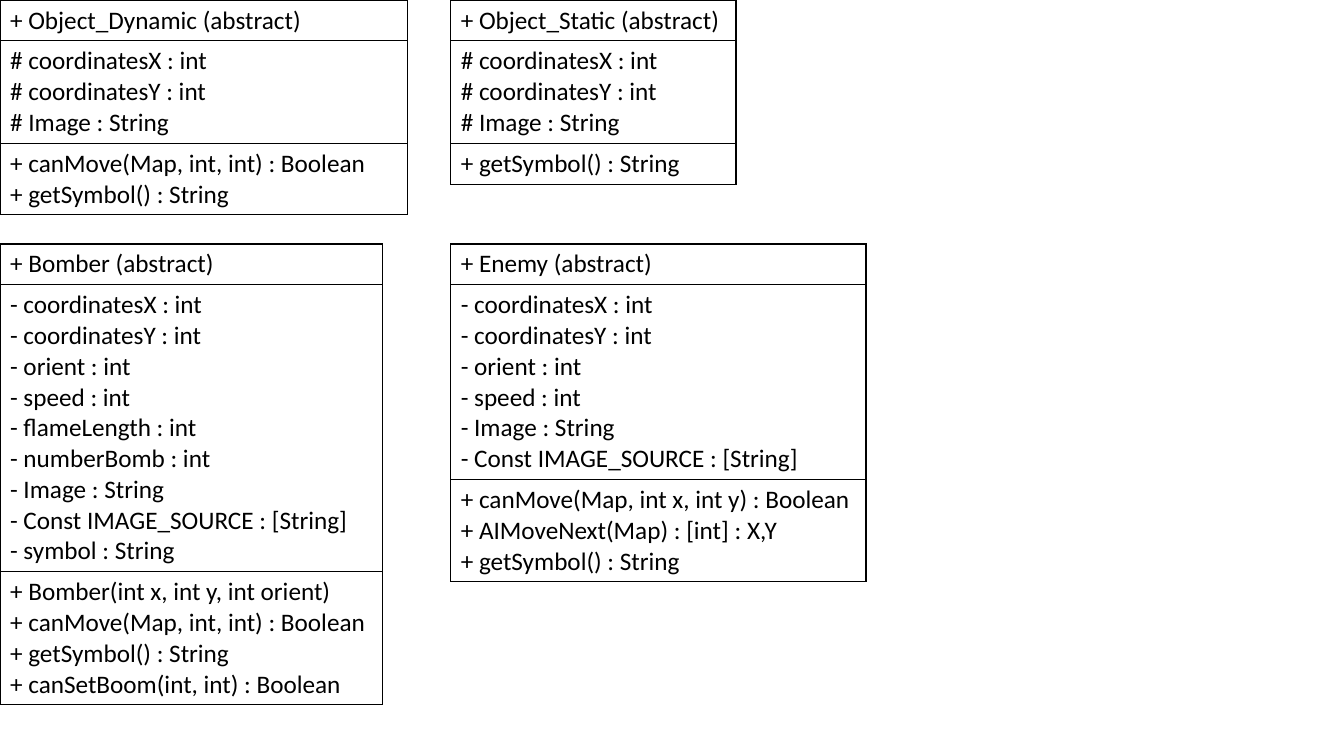
"""Build a slide of four UML class boxes, each drawn as a one-column table."""
from lxml import etree
from pptx import Presentation
from pptx.dml.color import RGBColor
from pptx.oxml.ns import qn
from pptx.util import Inches, Pt

BLACK = "000000"
LINE_HEIGHT, CELL_PADDING = 0.305, 0.1
LEFT, RIGHT, TOP, BOTTOM = 0, 4.47, 0, 2.42

CLASSES = [
    (RIGHT, TOP, 2.83, [
        ["+ Object_Static (abstract)"],
        ["# coordinatesX : int", "# coordinatesY : int", "# Image : String"],
        ["+ getSymbol() : String"]]),
    (LEFT, TOP, 4.04, [
        ["+ Object_Dynamic (abstract)"],
        ["# coordinatesX : int", "# coordinatesY : int", "# Image : String"],
        ["+ canMove(Map, int, int) : Boolean", "+ getSymbol() : String"]]),
    (LEFT, BOTTOM, 3.79, [
        ["+ Bomber (abstract)"],
        ["- coordinatesX : int", "- coordinatesY : int", "- orient : int",
         "- speed : int", "- flameLength : int", "- numberBomb : int",
         "- Image : String", "- Const IMAGE_SOURCE : [String]",
         "- symbol : String"],
        ["+ Bomber(int x, int y, int orient)",
         "+ canMove(Map, int, int) : Boolean", "+ getSymbol() : String",
         "+ canSetBoom(int, int) : Boolean"]]),
    (RIGHT, BOTTOM, 4.12, [
        ["+ Enemy (abstract)"],
        ["- coordinatesX : int", "- coordinatesY : int", "- orient : int",
         "- speed : int", "- Image : String",
         "- Const IMAGE_SOURCE : [String]"],
        ["+ canMove(Map, int x, int y) : Boolean",
         "+ AIMoveNext(Map) : [int] : X,Y", "+ getSymbol() : String"]]),
]


def rgb(value):
    """Turn a hex string into a colour."""
    return RGBColor.from_string(value)


def add_borders(cell):
    """Draw a solid line on all four sides of a cell."""
    tcPr = cell._tc.get_or_add_tcPr()
    for i, side in enumerate(("a:lnL", "a:lnR", "a:lnT", "a:lnB")):
        ln = etree.Element(qn(side), w=str(Pt(1)))
        fill = etree.SubElement(ln, qn("a:solidFill"))
        etree.SubElement(fill, qn("a:srgbClr"), val=BLACK)
        tcPr.insert(i, ln)


prs = Presentation()
prs.slide_width, prs.slide_height = Inches(13.33), Inches(7.5)
s = prs.slides.add_slide(prs.slide_layouts[6])

for left, top, width, sections in CLASSES:
    heights = [CELL_PADDING + LINE_HEIGHT * len(lines) for lines in sections]
    table = s.shapes.add_table(len(sections), 1, Inches(left), Inches(top),
                               Inches(width), Inches(sum(heights))).table
    table.first_row = table.horz_banding = False
    for row, height, lines in zip(table.rows, heights, sections):
        row.height = Inches(height)
        cell = row.cells[0]
        cell.fill.background()
        add_borders(cell)
        cell.text_frame.text = "\n".join(lines)
        for p in cell.text_frame.paragraphs:
            p.font.name, p.font.size = "Calibri", Pt(18)
            p.font.color.rgb = rgb(BLACK)

prs.save("out.pptx")
